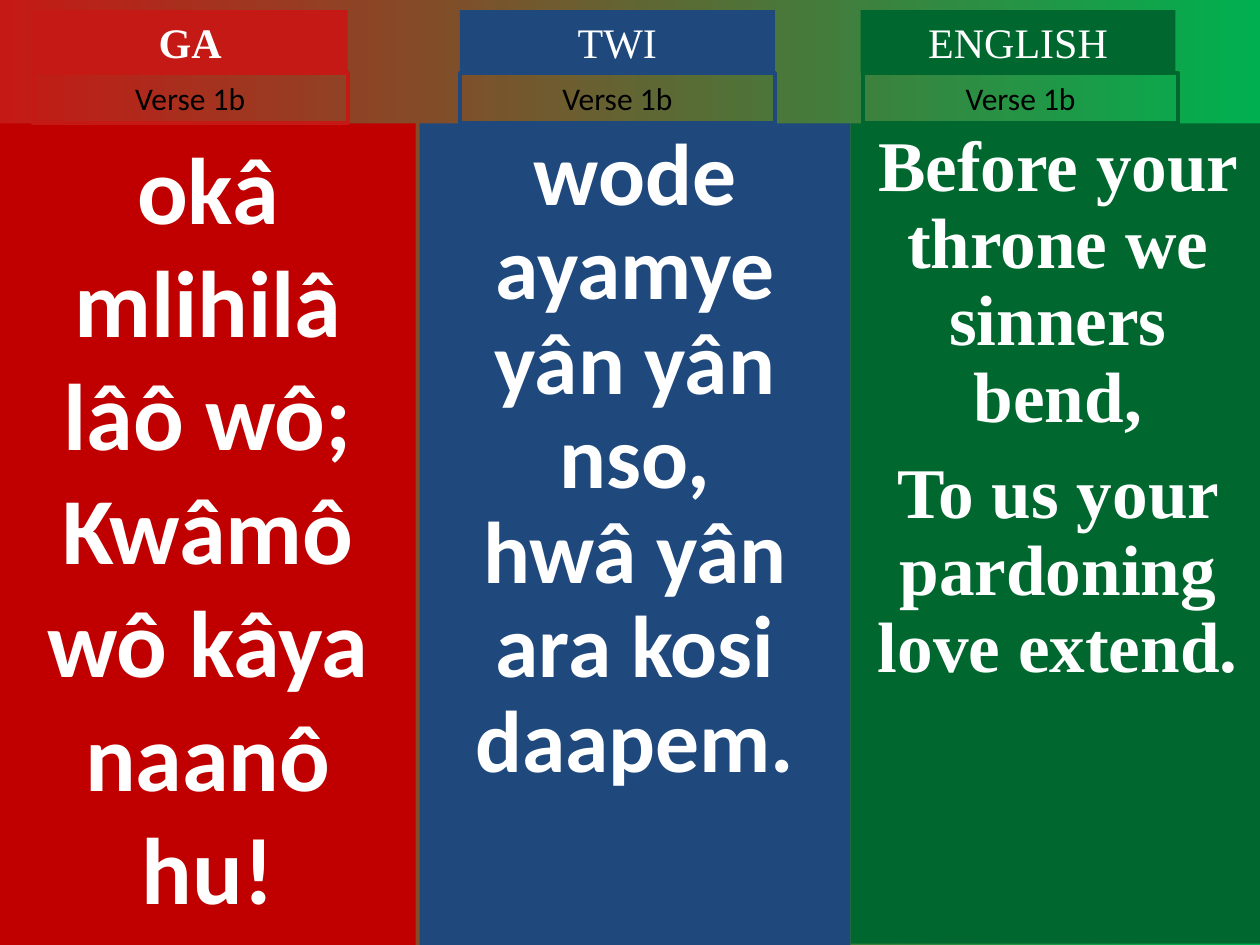
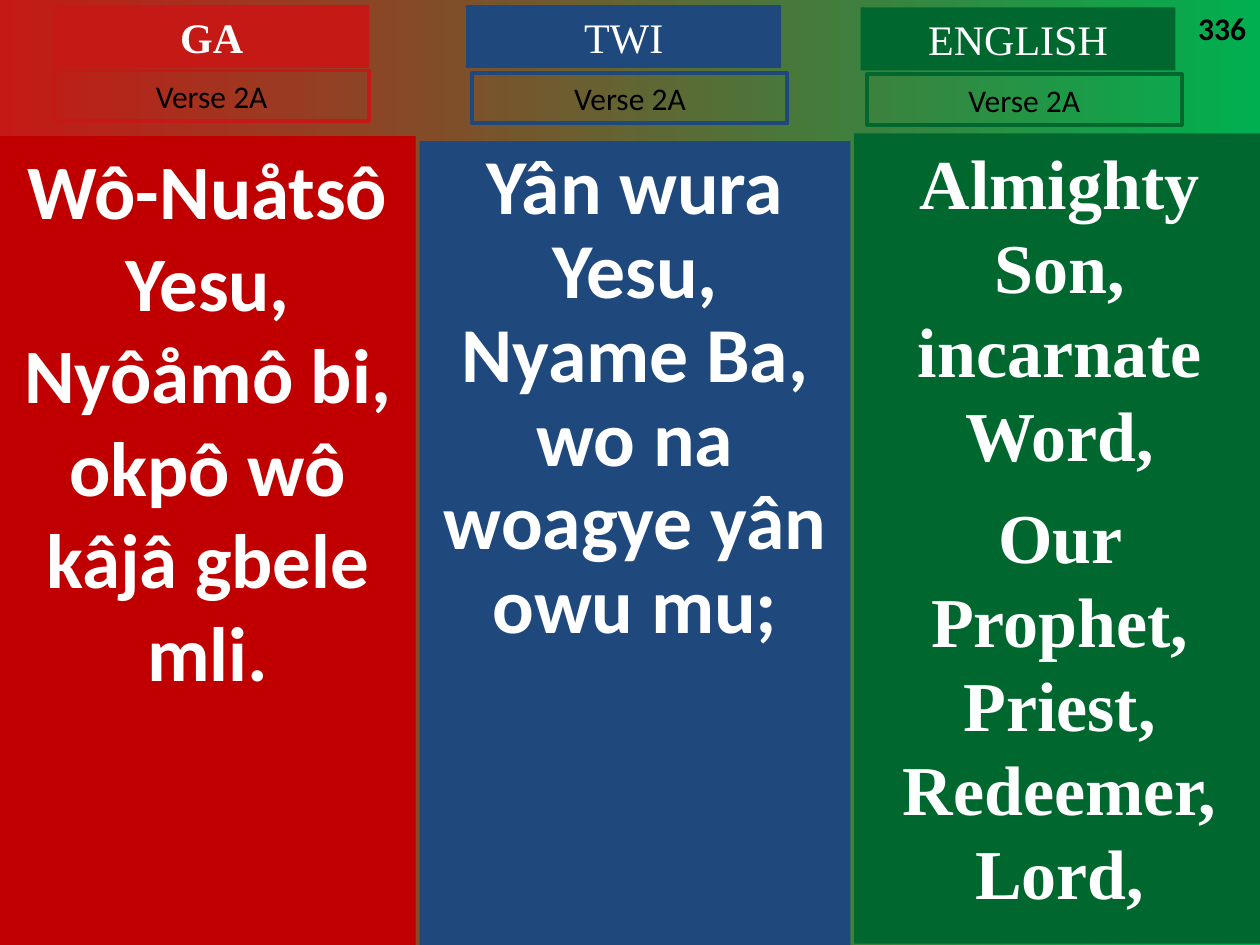
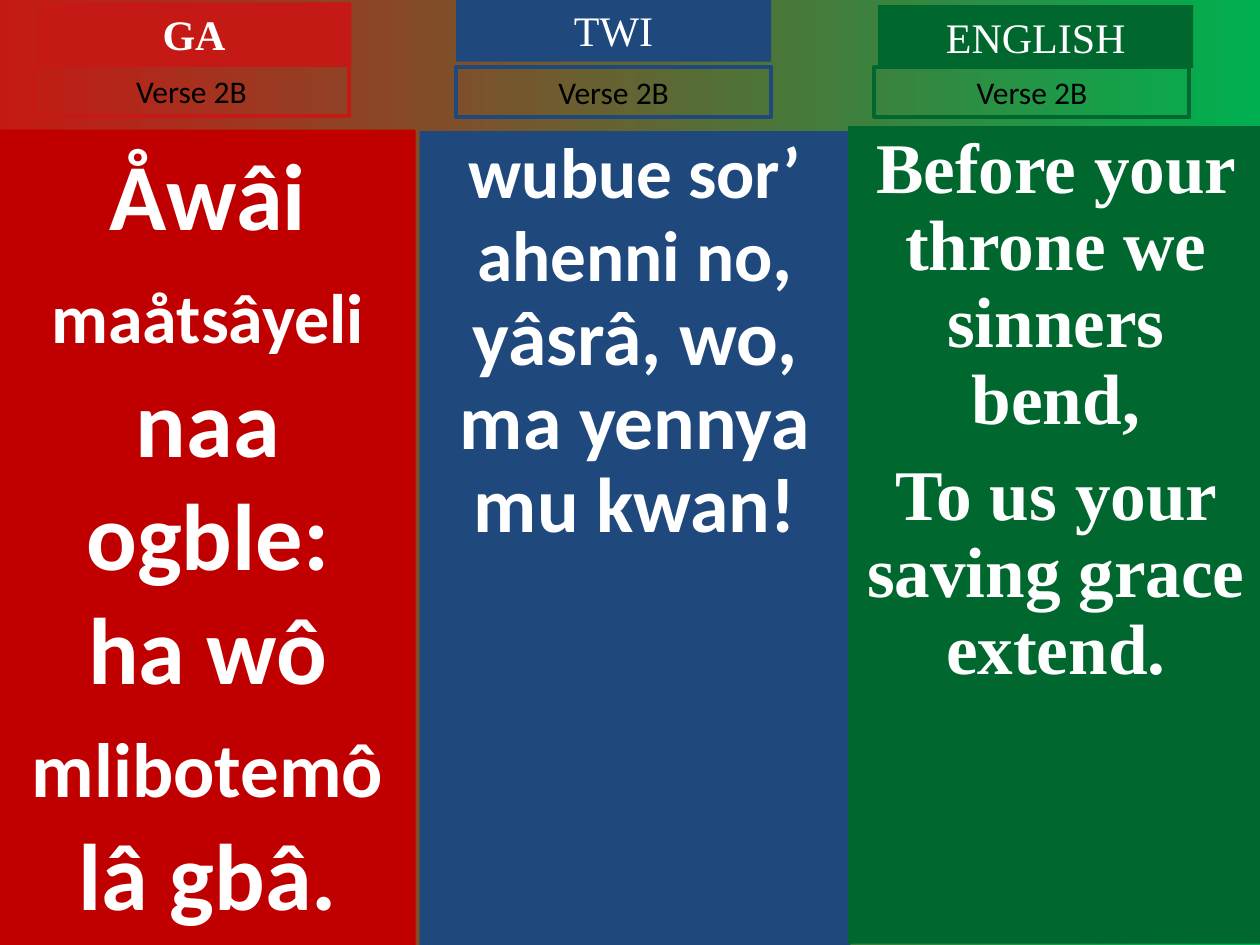
from dataclasses import dataclass

from pptx import Presentation
from pptx.dml.color import RGBColor
from pptx.enum.shapes import MSO_SHAPE
from pptx.enum.text import MSO_ANCHOR, PP_ALIGN
from pptx.util import Pt

RECTANGLE = MSO_SHAPE.RECTANGLE
TOP = MSO_ANCHOR.TOP
CENTER = PP_ALIGN.CENTER

PX = 9144  # 100 px to the inch
SLIDE_WIDTH, SLIDE_HEIGHT = 1000, 750
HEADING_SIZE = (250, 50)
VERSE_SIZE = (250, 40)
BLANK_LAYOUT = 6

SANS = "Calibri"
SERIF = "Times New Roman"

COLORS = {
    "ga_panel": "C00000",
    "ga": "C51915",
    "twi": "1F497D",
    "english": "00682F",
    "background_end": "00B050",
    "light": "FFFFFF",
    "dark": "000000",
}


@dataclass
class Language:
    heading: str
    color: str
    panel_color: str
    lyric_font: str
    heading_bold: bool = False


@dataclass
class Lyrics:
    """One language's part of a slide; a line is a string or (text, size) pairs."""
    heading_at: tuple
    verse_at: tuple
    panel: tuple
    size: float
    lines: list
    spacing: float = 1.0
    gap: int = 0


LANGUAGES = [
    Language("GA", "ga", "ga_panel", SANS, heading_bold=True),
    Language("TWI", "twi", "twi", SANS),
    Language("ENGLISH", "english", "english", SERIF),
]

SLIDES = [
    ("Verse 1b", None, [
        Lyrics((26, 8), (26, 58), (0, 98, 330, 652), 54,
               ["okâ mlihilâ lâô wô;", "Kwâmô wô kâya naanô hu!"]),
        Lyrics((365, 8), (365, 58), (333, 98, 342, 652), 50,
               ["wode ayamye yân yân nso,", "hwâ yân ara kosi daapem."], 0.9),
        Lyrics((683, 8), (685, 58), (675, 98, 329, 651), 40.7,
               ["Before your throne we sinners bend,",
                "To us your pardoning love extend."], 0.9, 11),
    ]),
    ("Verse 2A", "336", [
        Lyrics((43, 4), (43, 56), (0, 108, 330, 642), 44,
               ["Wô-Nuåtsô Yesu, Nyôåmô bi,", "okpô wô kâjâ gbele mli."]),
        Lyrics((370, 4), (375, 58), (333, 112, 342, 638), 44.4,
               ["Yân wura Yesu, Nyame Ba,", "wo na woagye yân owu mu;"], 0.9),
        Lyrics((683, 6), (688, 59), (678, 106, 326, 643), 40,
               ["Almighty Son, incarnate Word,",
                "Our Prophet, Priest, Redeemer, Lord,"], 1.0, 10),
    ]),
    ("Verse 2B", None, [
        Lyrics((29, 2), (27, 52), (0, 103, 330, 647), 54,
               [[("Åwâi ", 54), ("maåtsâyeli", 40), (" naa ogble:", 54)],
                [("ha wô ", 54), ("mlibotemô", 44), (" lâ gbâ.", 54)]]),
        Lyrics((362, -1), (362, 53), (333, 104, 342, 646), 44.4,
               [[("wubue sor’ ahenni no", 40.7), (",", 44.4)],
                "yâsrâ, wo, ma yennya mu kwan!"], 0.9),
        Lyrics((697, 4), (694, 53), (673, 100, 330, 649), 40.7,
               ["Before your throne we sinners bend,",
                "To us your saving grace extend."], 0.9, 11),
    ]),
]


def rgb(name):
    return RGBColor.from_string(COLORS[name])


def set_font(paragraph, family, size, color, bold=False):
    font = paragraph.font
    font.name = family
    font.size = Pt(size)
    font.bold = bold
    font.color.rgb = rgb(color)


def add_block(slide, box, fill=None, outline=None):
    """Add a rectangle with text from its top edge and return its text frame."""
    block = slide.shapes.add_shape(RECTANGLE, *(round(v * PX) for v in box))
    block.shadow.inherit = False
    if fill:
        block.fill.solid()
        block.fill.fore_color.rgb = rgb(fill)
    else:
        block.fill.background()
    if outline:
        block.line.color.rgb = rgb(outline)
        block.line.width = Pt(2.25)
    else:
        block.line.fill.background()
    frame = block.text_frame
    frame.word_wrap = True
    frame.vertical_anchor = TOP
    return frame


def add_label(slide, box, text, family, size, color, bold=False, **look):
    paragraph = add_block(slide, box, **look).paragraphs[0]
    paragraph.text = text
    paragraph.alignment = CENTER
    set_font(paragraph, family, size, color, bold)


def add_lyric_panel(slide, language, lyrics):
    frame = add_block(slide, lyrics.panel, fill=language.panel_color)
    for index, line in enumerate(lyrics.lines):
        paragraph = frame.add_paragraph() if index else frame.paragraphs[0]
        paragraph.alignment = CENTER
        paragraph.line_spacing = lyrics.spacing
        if index:
            paragraph.space_before = Pt(lyrics.gap)
        set_font(paragraph, language.lyric_font, lyrics.size, "light", bold=True)
        if isinstance(line, str):
            paragraph.text = line
            continue
        for text, size in line:
            run = paragraph.add_run()
            run.text = text
            run.font.size = Pt(size)


def add_hymn_number(slide, number):
    box = slide.shapes.add_textbox(935 * PX, 2 * PX, 67 * PX, 70 * PX)
    frame = box.text_frame
    frame.word_wrap = False
    frame.margin_left = 16 * PX
    frame.margin_right = 0
    paragraph = frame.paragraphs[0]
    paragraph.text = number
    set_font(paragraph, SANS, 18, "dark", bold=True)


def set_background(master):
    fill = master.background.fill
    fill.gradient()
    fill.gradient_angle = 0
    for stop, color in zip(fill.gradient_stops, ("ga", "background_end")):
        stop.color.rgb = rgb(color)


def main():
    deck = Presentation()
    deck.slide_width = SLIDE_WIDTH * PX
    deck.slide_height = SLIDE_HEIGHT * PX
    set_background(deck.slide_master)
    for verse, hymn_number, parts in SLIDES:
        slide = deck.slides.add_slide(deck.slide_layouts[BLANK_LAYOUT])
        for language, lyrics in zip(LANGUAGES, parts):
            add_lyric_panel(slide, language, lyrics)
            add_label(slide, lyrics.heading_at + HEADING_SIZE, language.heading,
                      SERIF, 24, "light", language.heading_bold,
                      fill=language.color)
            add_label(slide, lyrics.verse_at + VERSE_SIZE, verse,
                      SANS, 18, "dark", outline=language.color)
        if hymn_number:
            add_hymn_number(slide, hymn_number)
    deck.save("out.pptx")


if __name__ == "__main__":
    main()
